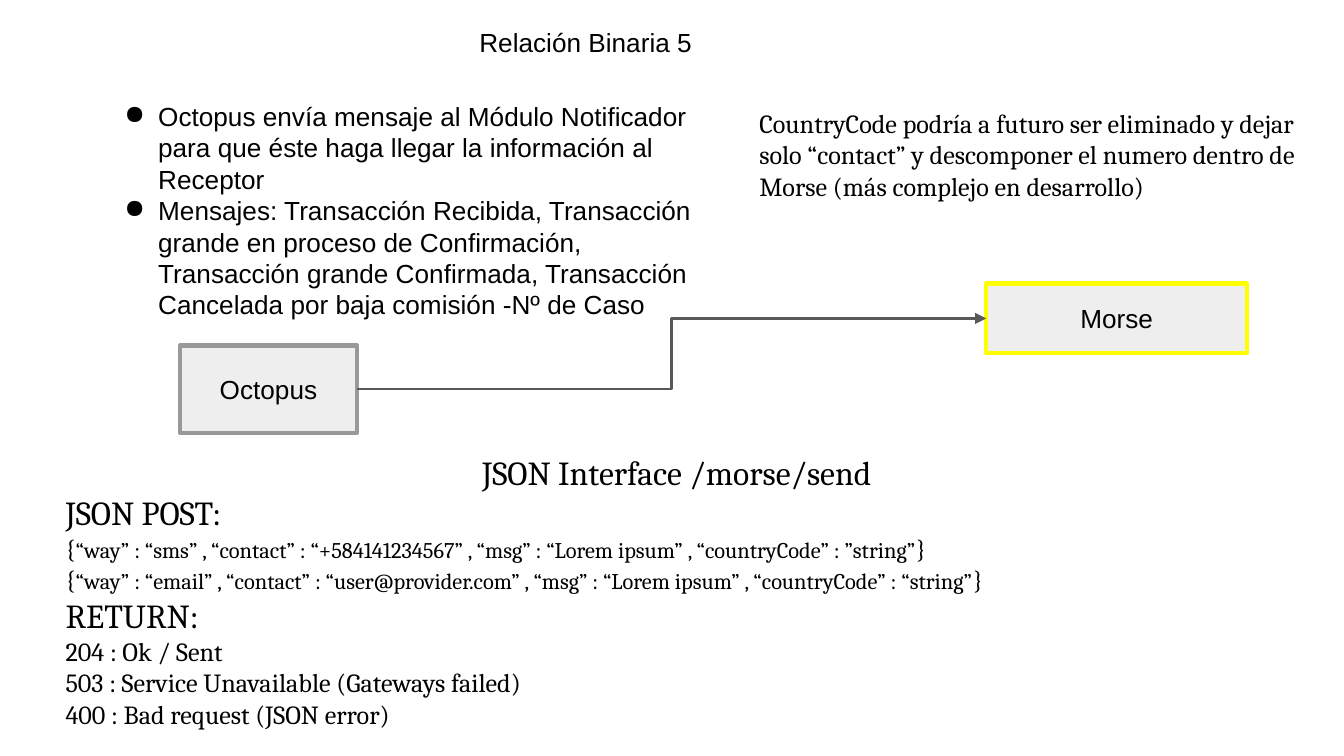
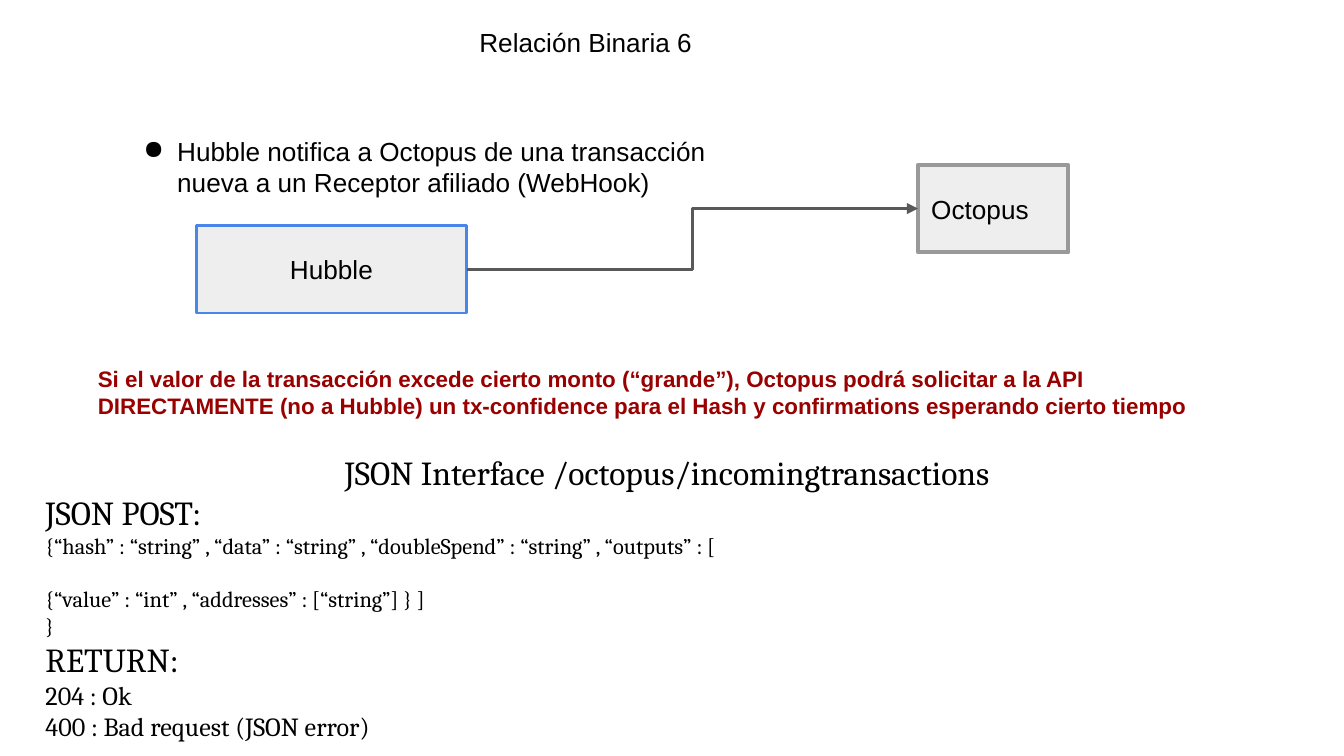
from dataclasses import dataclass

from lxml import etree
from pptx import Presentation
from pptx import util as u
from pptx.dml.color import RGBColor
from pptx.enum import shapes, text
from pptx.oxml import ns


@dataclass(frozen=True)
class Theme:
    sans: str = "Arial"
    serif: str = "Cambria"
    ink: str = "000000"
    warning: str = "990000"
    box: str = "EEEEEE"
    arrow: str = "595959"
    gray: str = "999999"
    yellow: str = "FFFF00"
    blue: str = "4A86E8"
    heading: int = 18
    body: int = 14
    code: int = 12


THEME = Theme()
LEFT, CENTER = text.PP_ALIGN.LEFT, text.PP_ALIGN.CENTER
SLIDE_SIZE = (25.4, 14.29)
TITLE_PLACE = (8.81, 0.25, 8, 1.02)
WIDE_MARGIN, NARROW_MARGIN = 0.25, 0.13
BULLET_INDENT = (1.27, -0.64)
LINE_SIZES = {
    "heading": THEME.heading,
    "body": THEME.body,
    "code": THEME.code,
    "spaced code": THEME.code,
}

SLIDES = [
    {
        "title": "Relación Binaria 5",
        "bullets": ((1.47, 1.65, 12.01, 9.32), [
            "Octopus envía mensaje al Módulo Notificador para que éste haga llegar "
            "la información al Receptor",
            "Mensajes: Transacción Recibida, Transacción grande en proceso de "
            "Confirmación, Transacción grande Confirmada, Transacción Cancelada "
            "por baja comisión -Nº de Caso",
        ]),
        "sender": ("Octopus", (3.4, 6.53, 3.35, 1.65), THEME.gray, 2.25, CENTER),
        "receiver": ("Morse", (18.64, 5.36, 4.93, 1.32), THEME.yellow, 2.25, CENTER),
        "note": (
            (14.1, 1.9, 11, 2.57),
            "CountryCode podría a futuro ser eliminado y dejar solo “contact” y "
            "descomponer el numero dentro de Morse (más complejo en desarrollo)",
        ),
        "interface": ((0.99, 8.41, 23.6, 5.38), "JSON Interface /morse/send", [
            ("heading", "JSON POST:"),
            ("example", "“way” : “sms” , “contact” : “+584141234567” , "
                        "“msg” : “Lorem ipsum” , “countryCode” : ”string”"),
            ("example", "“way” : “email” , “contact” : “user@provider.com” , "
                        "“msg” : “Lorem ipsum” , “countryCode” : “string”"),
            ("heading", "RETURN:"),
            ("body", "204 : Ok / Sent"),
            ("body", "503 : Service Unavailable (Gateways failed)"),
            ("body", "400 : Bad request (JSON error)"),
        ]),
    },
    {
        "title": "Relación Binaria 6",
        "bullets": ((1.83, 2.31, 12.01, 2.29), [
            "Hubble notifica a Octopus de una transacción nueva a un Receptor "
            "afiliado (WebHook)",
        ]),
        "sender": ("Hubble", (3.71, 4.27, 5.11, 1.65), THEME.blue, 1.5, CENTER),
        "receiver": ("Octopus", (17.35, 3.12, 2.84, 1.65), THEME.gray, 2.25, LEFT),
        "warning": (
            (1.6, 6.65, 22, 1.73),
            "Si el valor de la transacción excede cierto monto (“grande”), Octopus "
            "podrá solicitar a la API DIRECTAMENTE (no a Hubble) un tx-confidence "
            "para el Hash y confirmations esperando cierto tiempo",
        ),
        "interface": ((0.61, 8.41, 24, 5.23), "JSON Interface /octopus/incomingtransactions", [
            ("heading", "JSON POST:"),
            ("code", "{“hash” : “string” , “data” : “string” , "
                     "“doubleSpend” : “string” , “outputs” : ["),
            ("spaced code", "{“value” : “int” , “addresses” : [“string”] } ]"),
            ("code", "}"),
            ("heading", "RETURN:"),
            ("body", "204 : Ok"),
            ("body", "400 : Bad request (JSON error)"),
        ]),
    },
]


def color(value):
    return RGBColor.from_string(value)


def lengths(values):
    return [u.Cm(value) for value in values]


def style(paragraph, name=THEME.sans, size=THEME.body, ink=THEME.ink, bold=None):
    font = paragraph.font
    font.name, font.bold = name, bold
    font.color.rgb = color(ink)
    if size:
        font.size = u.Pt(size)


def set_margins(frame, vertical):
    frame.word_wrap = True
    frame.margin_left = frame.margin_right = u.Cm(WIDE_MARGIN)
    frame.margin_top = frame.margin_bottom = u.Cm(vertical)


def add_text_box(slide, place, vertical=WIDE_MARGIN, grow=False):
    frame = slide.shapes.add_textbox(*lengths(place)).text_frame
    set_margins(frame, vertical)
    if grow:
        frame.auto_size = text.MSO_AUTO_SIZE.SHAPE_TO_FIT_TEXT
    return frame


def next_paragraph(frame, index):
    return frame.add_paragraph() if index else frame.paragraphs[0]


def add_text(slide, place, content, vertical=WIDE_MARGIN, grow=False, **look):
    paragraph = add_text_box(slide, place, vertical, grow).paragraphs[0]
    paragraph.text = content
    style(paragraph, **look)


def add_bullets(slide, place, items):
    frame = add_text_box(slide, place)
    margin, indent = lengths(BULLET_INDENT)
    for index, item in enumerate(items):
        paragraph = next_paragraph(frame, index)
        paragraph.text = item
        properties = paragraph._p.get_or_add_pPr()
        properties.set("marL", str(margin))
        properties.set("indent", str(indent))
        etree.SubElement(properties, ns.qn("a:buChar")).set("char", "●")
        style(paragraph)


def add_box(slide, label, place, border, weight, alignment):
    shape = slide.shapes.add_shape(shapes.MSO_SHAPE.RECTANGLE, *lengths(place))
    shape.shadow.inherit = False
    shape.fill.solid()
    shape.fill.fore_color.rgb = color(THEME.box)
    shape.line.color.rgb = color(border)
    shape.line.width = u.Pt(weight)
    frame = shape.text_frame
    set_margins(frame, WIDE_MARGIN)
    frame.vertical_anchor = text.MSO_ANCHOR.MIDDLE
    paragraph = frame.paragraphs[0]
    paragraph.text = label
    paragraph.alignment = alignment
    style(paragraph)
    return shape


def add_arrow(slide, sender, receiver):
    connector = slide.shapes.add_connector(
        shapes.MSO_CONNECTOR.ELBOW,
        sender.left + sender.width, sender.top + sender.height // 2,
        receiver.left, receiver.top + receiver.height // 2,
    )
    connector.begin_connect(sender, 3)
    connector.end_connect(receiver, 1)
    connector.line.color.rgb = color(THEME.arrow)
    connector.line.width = u.Pt(1.5)
    line = connector.line._get_or_add_ln()
    etree.SubElement(line, ns.qn("a:tailEnd")).set("type", "triangle")
    etree.SubElement(connector._element.spPr, ns.qn("a:effectLst"))


def add_interface(slide, place, heading, lines):
    frame = add_text_box(slide, place, NARROW_MARGIN, grow=True)
    for index, (kind, content) in enumerate([("heading", heading), *lines]):
        paragraph = next_paragraph(frame, index)
        paragraph.alignment = LEFT if index else CENTER
        if kind == "spaced code":
            paragraph.space_before = u.Pt(14)
        if kind == "example":
            sizes = (THEME.body, THEME.code, THEME.body)
            for part, size in zip(("{", content, "}"), sizes):
                run = paragraph.add_run()
                run.text = part
                run.font.size = u.Pt(size)
        else:
            paragraph.text = content
        style(paragraph, THEME.serif, LINE_SIZES.get(kind))


def build_slide(presentation, content):
    slide = presentation.slides.add_slide(presentation.slide_layouts[6])
    add_text(slide, TITLE_PLACE, content["title"])
    add_bullets(slide, *content["bullets"])
    sender = add_box(slide, *content["sender"])
    receiver = add_box(slide, *content["receiver"])
    add_arrow(slide, sender, receiver)
    if "warning" in content:
        add_text(slide, *content["warning"], size=THEME.code, ink=THEME.warning, bold=True)
    add_interface(slide, *content["interface"])
    if "note" in content:
        add_text(slide, *content["note"], vertical=NARROW_MARGIN, grow=True, name=THEME.serif)


def main():
    presentation = Presentation()
    presentation.slide_width, presentation.slide_height = lengths(SLIDE_SIZE)
    for content in SLIDES:
        build_slide(presentation, content)
    presentation.save("out.pptx")


if __name__ == "__main__":
    main()
